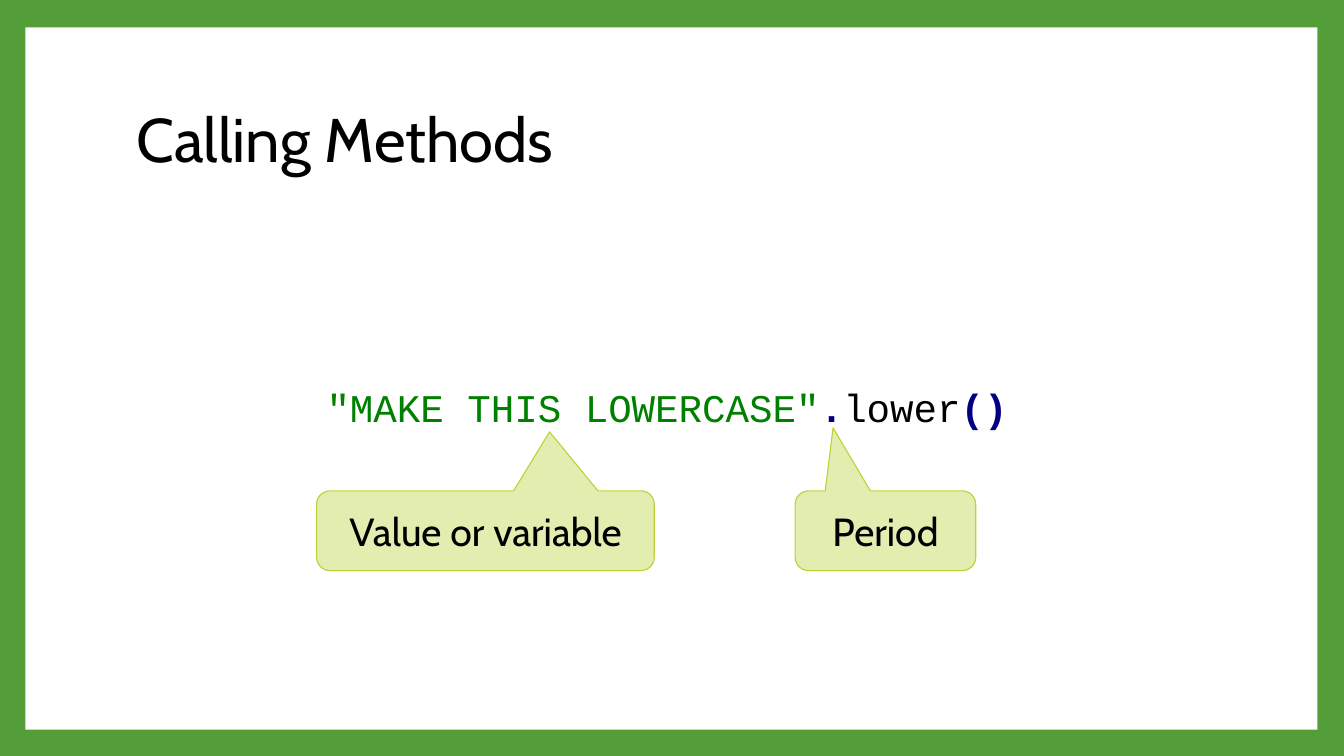
from dataclasses import dataclass

from pptx import Presentation
from pptx.dml.color import RGBColor
from pptx.enum.shapes import MSO_SHAPE
from pptx.enum.text import MSO_ANCHOR, MSO_AUTO_SIZE, PP_ALIGN
from pptx.shapes.autoshape import Shape
from pptx.slide import Slide
from pptx.text.text import _Run
from pptx.util import Cm, Pt

RECTANGLE = MSO_SHAPE.RECTANGLE
CALLOUT = MSO_SHAPE.ROUNDED_RECTANGULAR_CALLOUT
MIDDLE = MSO_ANCHOR.MIDDLE
GROW = MSO_AUTO_SIZE.SHAPE_TO_FIT_TEXT
LEFT, CENTER = PP_ALIGN.LEFT, PP_ALIGN.CENTER

FRAME_GREEN = RGBColor(0x54, 0x9E, 0x39)
WHITE = RGBColor(0xFF, 0xFF, 0xFF)
BLACK = RGBColor(0x00, 0x00, 0x00)
STRING_GREEN = RGBColor(0x00, 0x80, 0x00)
SYMBOL_NAVY = RGBColor(0x00, 0x00, 0x80)
CALLOUT_FILL = RGBColor(0xE4, 0xED, 0xB0)
CALLOUT_LINE = RGBColor(0xC0, 0xCF, 0x3A)

TITLE_FONT = {"name": "Cabin", "size": Pt(44)}
LABEL_FONT = {"name": "Cabin", "size": Pt(28)}
CODE_FONT = {"name": "Courier New", "size": Pt(28)}

CODE_LEFT = 7.98
CALLOUT_TOP, CALLOUT_HEIGHT = 12.37, 2.01
TITLE_ONLY = 5


@dataclass(frozen=True)
class Token:
    text: str
    color: RGBColor
    bold: bool = False


@dataclass(frozen=True)
class Callout:
    label: str
    left: float
    width: float
    tip_x: float
    tip_y: float


TOKENS = (
    Token('"MAKE THIS LOWERCASE"', STRING_GREEN),
    Token(".", SYMBOL_NAVY, True),
    Token("lower", BLACK),
    Token("()", SYMBOL_NAVY, True),
)
CALLOUTS = (
    Callout("Value or variable", CODE_LEFT, 8.51, 0.19, -1.24),
    Callout("Period", 20.04, 4.55, -0.29, -1.29),
)


def format_run(run: _Run, style: dict, color: RGBColor) -> None:
    for attribute, value in style.items():
        setattr(run.font, attribute, value)
    run.font.color.rgb = color


def add_title(slide: Slide, text: str) -> None:
    title = slide.shapes.title
    title.left, title.top, title.width, title.height = Cm(3.18), Cm(1.7), Cm(27.43), Cm(3.76)
    title.text_frame.vertical_anchor = MIDDLE
    line = title.text_frame.paragraphs[0]
    line.alignment = LEFT
    line.line_spacing = 0.9
    run = line.add_run()
    run.text = text
    format_run(run, TITLE_FONT, BLACK)


def add_panel(slide: Slide) -> Shape:
    panel = slide.shapes.add_shape(RECTANGLE, Cm(0.64), Cm(0.69), Cm(32.56), Cm(17.7))
    panel.shadow.inherit = False
    panel.fill.solid()
    panel.fill.fore_color.rgb = WHITE
    panel.line.fill.background()
    return panel


def add_code(slide: Slide, tokens: tuple[Token, ...]) -> None:
    code = slide.shapes.add_textbox(Cm(CODE_LEFT), Cm(9.53), Cm(18.42), Cm(1.45)).text_frame
    code.word_wrap = False
    code.auto_size = GROW
    for token in tokens:
        run = code.paragraphs[0].add_run()
        run.text = token.text
        format_run(run, {**CODE_FONT, "bold": token.bold}, token.color)


def add_callout(slide: Slide, callout: Callout) -> None:
    bubble = slide.shapes.add_shape(
        CALLOUT, Cm(callout.left), Cm(CALLOUT_TOP), Cm(callout.width), Cm(CALLOUT_HEIGHT)
    )
    bubble.adjustments[0] = callout.tip_x
    bubble.adjustments[1] = callout.tip_y
    bubble.shadow.inherit = False
    bubble.fill.solid()
    bubble.fill.fore_color.rgb = CALLOUT_FILL
    bubble.line.color.rgb = CALLOUT_LINE
    bubble.line.width = Pt(0.79)
    bubble.text_frame.vertical_anchor = MIDDLE
    label = bubble.text_frame.paragraphs[0]
    label.alignment = CENTER
    run = label.add_run()
    run.text = callout.label
    format_run(run, LABEL_FONT, BLACK)


def main() -> None:
    deck = Presentation()
    deck.slide_width, deck.slide_height = Cm(33.87), Cm(19.05)
    slide = deck.slides.add_slide(deck.slide_layouts[TITLE_ONLY])
    slide.background.fill.solid()
    slide.background.fill.fore_color.rgb = FRAME_GREEN

    panel = add_panel(slide)
    slide.shapes.title.element.addprevious(panel.element)
    add_title(slide, "Calling Methods")
    add_code(slide, TOKENS)
    for callout in CALLOUTS:
        add_callout(slide, callout)
    deck.save("out.pptx")


if __name__ == "__main__":
    main()
